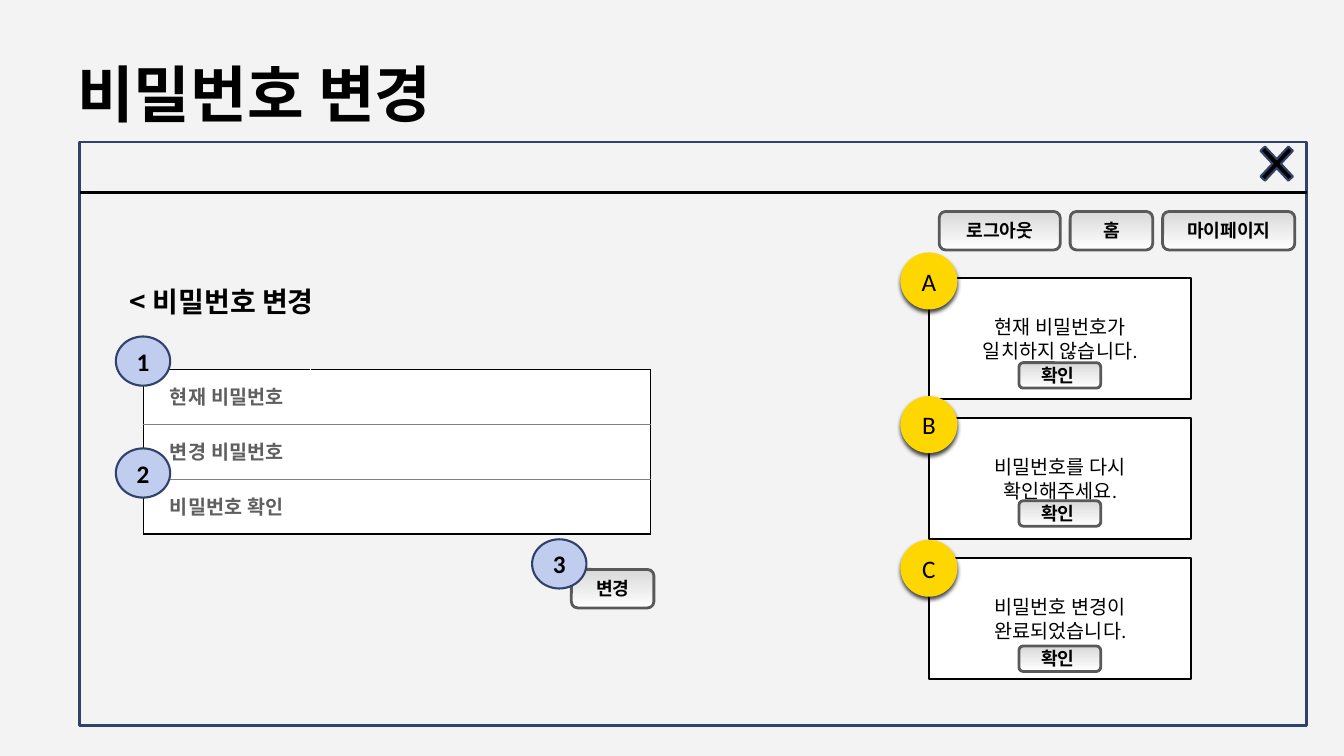
from lxml import etree
from pptx import Presentation
from pptx.dml.color import RGBColor
from pptx.enum.shapes import MSO_CONNECTOR, MSO_SHAPE as SHAPE
from pptx.enum.text import MSO_ANCHOR as ANCHOR, PP_ALIGN as ALIGN
from pptx.oxml import parse_xml
from pptx.oxml.ns import nsdecls, qn
from pptx.util import Cm, Pt

TITLE = "비밀번호 변경"
HEADING = "< 비밀번호 변경"
NAV = [("로그아웃", 3.05), ("홈", 2.08), ("마이페이지", 3.33)]
FIELDS = ["현재 비밀번호", "변경 비밀번호", "비밀번호 확인"]
SUBMIT = "변경"
CONFIRM = "확인 "
MARKERS = [("1", 2.92, 8.48), ("2", 2.92, 11.3), ("3", 13.41, 13.59)]
DIALOGS = [
    ("A", "현재 비밀번호가\n일치하지 않습니다.", 9.14),
    ("B", "비밀번호를 다시\n확인해주세요.", 12.62),
    ("C", "비밀번호 변경이\n완료되었습니다.", 16.28),
]
BLACK, WHITE, NAVY, GREY, GOLD = "000000", "FFFFFF", "30416A", "808080", "FFD700"


def rgb(value):
    return RGBColor.from_string(value)


def write(tf, text, size, bold=False, font="Calibri", color=BLACK, align=ALIGN.CENTER):
    tf.text = text
    tf.word_wrap = True
    tf.vertical_anchor = ANCHOR.MIDDLE
    for p in tf.paragraphs:
        p.alignment = align
        for r in p.runs:
            r.font.size, r.font.bold, r.font.name = Pt(size), bold, font
            r.font.color.rgb = rgb(color)
            etree.SubElement(r.font._element, qn("a:ea")).set("typeface", font)


def add_label(text, x, y, w, h, size, font):
    sp = slide.shapes.add_textbox(Cm(x), Cm(y), Cm(w), Cm(h))
    write(sp.text_frame, text, size, True, font, align=ALIGN.LEFT)


def add_box(kind, x, y, w, h, fill, line, width):
    sp = slide.shapes.add_shape(kind, Cm(x), Cm(y), Cm(w), Cm(h))
    sp.shadow.inherit = False
    if fill:
        sp.fill.solid()
        sp.fill.fore_color.rgb = rgb(fill)
    else:
        sp.fill.background()
    sp.line.color.rgb = rgb(line)
    sp.line.width = Pt(width)
    return sp


def add_button(text, x, y, w, h=0.97):
    sp = add_box(SHAPE.ROUNDED_RECTANGLE, x, y, w, h, WHITE, "595959", 2)
    sp.fill.gradient()
    sp.fill.gradient_angle = 270
    for stop, color in zip(sp.fill.gradient_stops, ("D9D9D9", WHITE)):
        stop.color.rgb = rgb(color)
    write(sp.text_frame, text, 13, True)


def add_badge(text, x, y):
    sp = add_box(SHAPE.OVAL, x, y, 1.4, 1.4, GOLD, GOLD, 1)
    sp._element.spPr.find(qn("a:effectLst")).append(parse_xml(
        f'<a:outerShdw {nsdecls("a")} blurRad="{Pt(3)}" dist="{Pt(2)}" dir="5400000" '
        'rotWithShape="0"><a:srgbClr val="000000"><a:alpha val="75000"/></a:srgbClr>'
        '</a:outerShdw>'))
    write(sp.text_frame, text, 18)


def add_border(cell, side, color, width):
    cell._tc.get_or_add_tcPr().append(parse_xml(
        f'<a:ln{side} {nsdecls("a")} w="{Pt(width)}"><a:solidFill>'
        f'<a:srgbClr val="{color}"/></a:solidFill></a:ln{side}>'))


def add_fields(x, y, widths, row_h):
    last = len(FIELDS) - 1
    frame = slide.shapes.add_table(len(FIELDS), len(widths), Cm(x), Cm(y),
                                   Cm(sum(widths)), Cm(row_h * len(FIELDS)))
    table = frame.table
    table.first_row = table.horz_banding = False
    for col, width in zip(table.columns, widths):
        col.width = Cm(width)
    outer, inner = (BLACK, 1), (GREY, 0.5)
    for i, field in enumerate(FIELDS):
        table.rows[i].height = Cm(row_h)
        for j, side in enumerate("LR"):
            cell = table.cell(i, j)
            add_border(cell, side, *outer)
            add_border(cell, "T", *(inner if i else outer))
            add_border(cell, "B", *(inner if i < last else outer))
            cell.fill.solid()
            cell.fill.fore_color.rgb = rgb(WHITE)
        cell = table.cell(i, 0)
        write(cell.text_frame, field, 14, True, "Open Sans", "5F5F5F")
        cell.vertical_anchor = ANCHOR.MIDDLE


prs = Presentation()
prs.slide_width, prs.slide_height = Cm(33.87), Cm(19.05)
slide = prs.slides.add_slide(prs.slide_layouts[6])
slide.background.fill.solid()
slide.background.fill.fore_color.rgb = rgb("F3F3F3")

add_label(TITLE, 1.7, 0.76, 30.48, 3.18, 44, "Calibri")
add_label(HEADING, 3.02, 7.06, 13.89, 1.09, 20, "Noto Sans CJK KR")

add_box(SHAPE.RECTANGLE, 2.01, 3.58, 30.91, 14.71, None, NAVY, 2)
bar = slide.shapes.add_connector(MSO_CONNECTOR.STRAIGHT, Cm(2.01), Cm(4.85), Cm(32.94), Cm(4.85))
bar.line.color.rgb = rgb(BLACK)
bar.line.width = Pt(2)
etree.SubElement(bar._element.spPr, qn("a:effectLst"))
close = add_box(SHAPE.MATH_MULTIPLY, 31.5, 3.4, 1.35, 1.45, BLACK, NAVY, 1.5)
close.adjustments[0] = 0.114

nav_x = 23.67
for text, width in NAV:
    add_button(text, nav_x, 5.33, width)
    nav_x += width + 0.25

add_fields(3.61, 9.32, [4.22, 8.56], 1.38)
add_button(SUBMIT, 14.4, 14.35, 2.08)
for text, x, y in MARKERS:
    marker = add_box(SHAPE.OVAL, x, y, 1.37, 1.24, "C0CDEF", NAVY, 1.5)
    write(marker.text_frame, text, 18, True)

for i, (letter, message, confirm_y) in enumerate(DIALOGS):
    dialog = add_box(SHAPE.RECTANGLE, 23.42, 7.01 + 3.53 * i, 6.6, 3.05, WHITE, BLACK, 1.5)
    write(dialog.text_frame, message, 14)
    add_badge(letter, 22.71, 6.38 + 3.62 * i)
    add_button(CONFIRM, 25.68, confirm_y, 2.06, 0.64)

prs.save("out.pptx")
